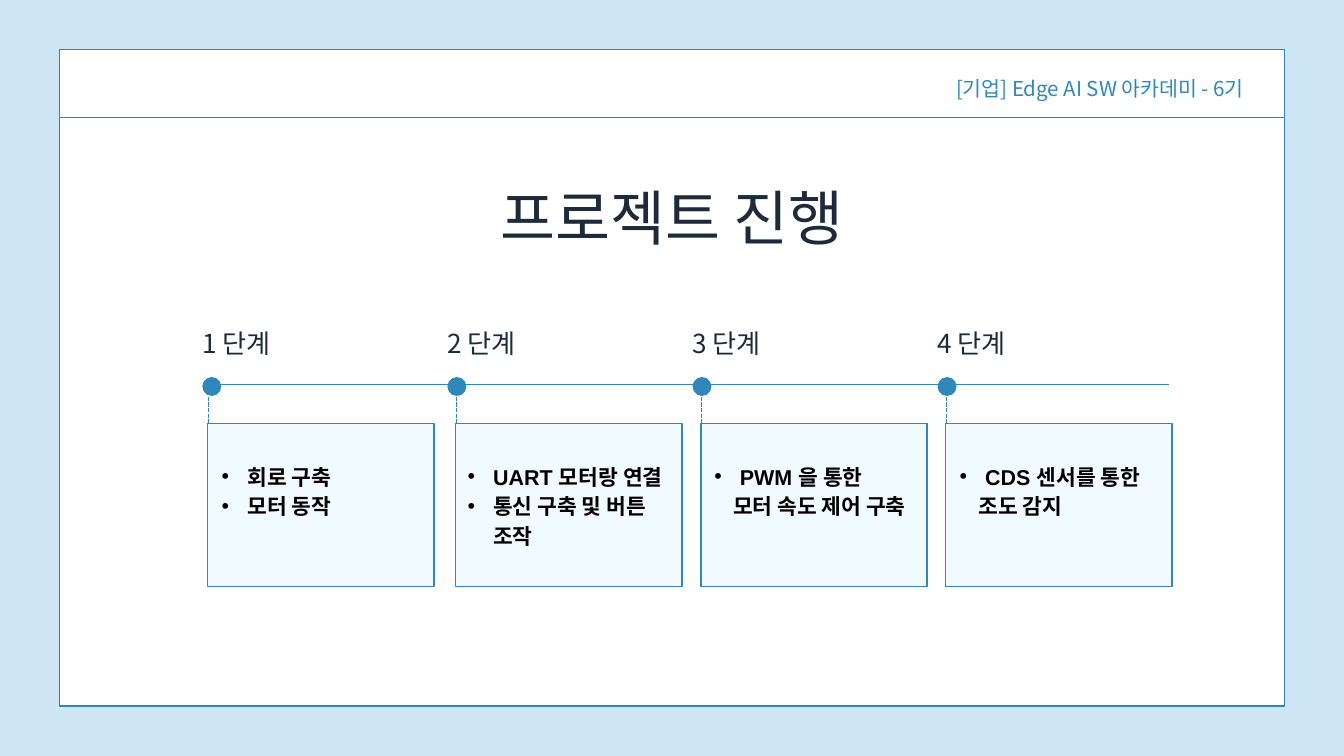
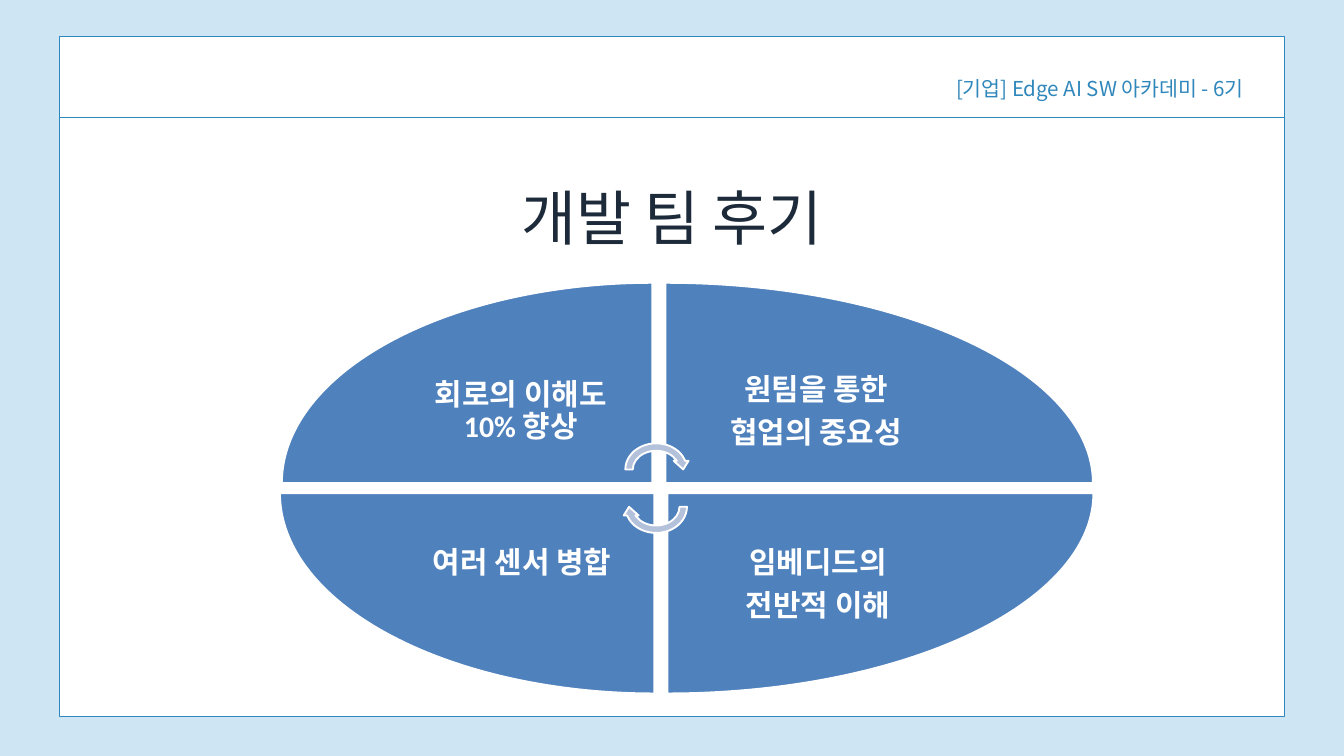
from dataclasses import dataclass

from lxml.etree import SubElement
from pptx import Presentation
from pptx.dml.color import RGBColor as Color
from pptx.enum.dml import MSO_LINE_DASH_STYLE as Dash
from pptx.enum.shapes import MSO_CONNECTOR as Connector, MSO_SHAPE as Shape
from pptx.enum.text import MSO_ANCHOR as Anchor, PP_ALIGN as Align
from pptx.oxml.ns import qn
from pptx.util import Pt


@dataclass(frozen=True)
class Theme:
    backdrop: str = "CEE6F4"
    panel: str = "FFFFFF"
    accent: str = "3087BB"
    ink: str = "1D2A3A"
    card: str = "F1FAFF"
    card_text: str = "000000"
    wedge: str = "4F81BD"
    arrow: str = "B3C1DB"
    white: str = "FFFFFF"
    main_font: str = "Noto Sans CJK KR"
    card_font: str = "Arial"
    wedge_font: str = "Calibri"
    title_size: float = 64
    wedge_size: float = 32
    stage_size: float = 28
    card_size: float = 23
    header_size: float = 22
    line_width: float = 1.5
    wedge_line: float = 2


THEME = Theme()
SLIDE_WIDTH, SLIDE_HEIGHT = 1440, 810
PANEL_LEFT, PANEL_WIDTH = 64, 1312
HEADER_RULE = 126
HEADER = "[기업] Edge AI SW 아카데미 - 6기"

STAGE_LEFT, STAGE_STEP = 216.8, 262.6
DOT_TOP, DOT_SIZE = 404, 20.3
CARD_TOP, CARD_WIDTH, CARD_HEIGHT = 453.6, 242.5, 175
BULLET_INDENT, CONTINUATION_INDENT = 27.36, 20

STAGES = [
    (222.5, 237.6, 2, ["회로 구축", "모터 동작"]),
    (488.2, 501.1, 2, ["UART 모터랑 연결", "통신 구축 및 버튼 조작"]),
    (750.9, 765.4, 1, ["PWM 을 통한", "모터 속도 제어 구축"]),
    (1013.3, 1028.2, 1, ["CDS 센서를 통한", "조도 감지"]),
]

WEDGES = [
    ((302, 303, 397, 214.5), 0, (417.6, 366, 281, 151), ["회로의 이해도 10% 향상"]),
    ((713, 303, 458, 214.5), 90, (713, 366, 323, 151), ["원팀을 통한", "협업의 중요성"]),
    ((715, 528.5, 456.5, 214.5), 180, (715, 551.5, 323, 151), ["임베디드의", "전반적 이해"]),
    ((300, 528.5, 401, 214.5), 270, (417.6, 528.5, 284, 151), ["여러 센서 병합"]),
]


def points(values):
    return [Pt(value) for value in values]


def add_shape(slide, kind, frame, fill, line=None, width=THEME.line_width, rotation=0):
    left, top, wide, high = frame
    if rotation % 180:
        left, top = left + (wide - high) / 2, top + (high - wide) / 2
        wide, high = high, wide
    shape = slide.shapes.add_shape(kind, *points((left, top, wide, high)))
    shape.shadow.inherit = False
    shape.rotation = rotation
    shape.fill.solid()
    shape.fill.fore_color.rgb = Color.from_string(fill)
    if line:
        shape.line.color.rgb = Color.from_string(line)
        shape.line.width = Pt(width)
    else:
        shape.line.fill.background()
    return shape


def add_line(slide, start, end, dash=None):
    line = slide.shapes.add_connector(Connector.STRAIGHT, *points((*start, *end)))
    SubElement(line._element.spPr, qn("a:effectLst"))
    line.line.color.rgb = Color.from_string(THEME.accent)
    line.line.width = Pt(THEME.line_width)
    if dash:
        line.line.dash_style = dash


def indent_paragraph(para, bulleted):
    properties = para._p.get_or_add_pPr()
    if bulleted:
        properties.set("marL", str(Pt(BULLET_INDENT)))
        properties.set("indent", str(-Pt(BULLET_INDENT)))
        SubElement(properties, qn("a:buFont"), typeface="Arial")
        SubElement(properties, qn("a:buChar"), char="•")
    else:
        properties.set("marL", str(Pt(CONTINUATION_INDENT)))
        properties.set("indent", "0")


def add_text(slide, frame, lines, *, font, size, color, bold=False, align=Align.LEFT,
             anchor=Anchor.TOP, spacing=1.0, after=0, inset=0, bullets=0):
    box = slide.shapes.add_textbox(*points(frame))
    text = box.text_frame
    text.word_wrap = True
    text.vertical_anchor = anchor
    text.margin_left = text.margin_right = Pt(inset)
    text.margin_top = text.margin_bottom = Pt(inset)
    for index, line in enumerate(lines):
        para = text.add_paragraph() if index else text.paragraphs[0]
        para.alignment = align
        para.line_spacing = spacing
        para.space_after = Pt(after)
        if bullets:
            indent_paragraph(para, index < bullets)
        span = para.add_run()
        span.text = line
        span.font.name = font
        span.font.size = Pt(size)
        span.font.bold = bold
        span.font.color.rgb = Color.from_string(color)


def add_page(deck, title, panel_top, panel_height):
    page = deck.slides.add_slide(deck.slide_layouts[6])
    page.background.fill.solid()
    page.background.fill.fore_color.rgb = Color.from_string(THEME.backdrop)
    panel = (PANEL_LEFT, panel_top, PANEL_WIDTH, panel_height)
    add_shape(page, Shape.RECTANGLE, panel, THEME.panel, THEME.accent)
    add_line(page, (PANEL_LEFT, HEADER_RULE), (PANEL_LEFT + PANEL_WIDTH, HEADER_RULE))
    add_text(page, (940.5, 76.5, 392, 30), [HEADER], font=THEME.main_font,
             size=THEME.header_size, color=THEME.accent, align=Align.RIGHT,
             spacing=Pt(30.8))
    add_text(page, (499.5, 181, 441, 86), [title], font=THEME.main_font,
             size=THEME.title_size, color=THEME.ink, align=Align.CENTER,
             spacing=Pt(89.6))
    return page


def add_stage(page, index, card_left, text_left, bullets, lines):
    left = STAGE_LEFT + index * STAGE_STEP
    dash_left = card_left + 0.9
    add_shape(page, Shape.OVAL, (left, DOT_TOP, DOT_SIZE, DOT_SIZE), THEME.accent)
    add_shape(page, Shape.RECTANGLE, (card_left, CARD_TOP, CARD_WIDTH, CARD_HEIGHT),
              THEME.card, THEME.accent)
    add_text(page, (left, 350.6, 214, 34.6), [f"{index + 1} 단계"], font=THEME.main_font,
             size=THEME.stage_size, color=THEME.ink, spacing=Pt(33.6))
    add_text(page, (text_left, 492.5, 230, 63), lines, font=THEME.card_font,
             size=THEME.card_size, color=THEME.card_text, bold=True,
             spacing=Pt(31.9), bullets=bullets)
    add_line(page, (dash_left, CARD_TOP), (dash_left, DOT_TOP + DOT_SIZE), Dash.SQUARE_DOT)


def add_wedge(page, frame, rotation, text_frame, lines):
    add_shape(page, Shape.PIE_WEDGE, frame, THEME.wedge, THEME.white,
              THEME.wedge_line, rotation)
    add_text(page, text_frame, lines, font=THEME.wedge_font, size=THEME.wedge_size,
             color=THEME.white, bold=True, align=Align.CENTER, anchor=Anchor.MIDDLE,
             spacing=0.9, after=11.2, inset=18)


def build_progress(deck):
    page = add_page(deck, "프로젝트 진행", 53, 703.5)
    add_line(page, (224, 412), (1253, 412))
    for index, stage in enumerate(STAGES):
        add_stage(page, index, *stage)


def build_review(deck):
    page = add_page(deck, "개발 팀 후기", 39, 729)
    for wedge in WEDGES:
        add_wedge(page, *wedge)
    for top, rotation in ((471, 0), (511, 180)):
        add_shape(page, Shape.CIRCULAR_ARROW, (666, top, 74, 64), THEME.arrow,
                  THEME.white, THEME.wedge_line, rotation)


def main():
    deck = Presentation()
    deck.slide_width, deck.slide_height = points((SLIDE_WIDTH, SLIDE_HEIGHT))
    build_progress(deck)
    build_review(deck)
    deck.save("out.pptx")


if __name__ == "__main__":
    main()
